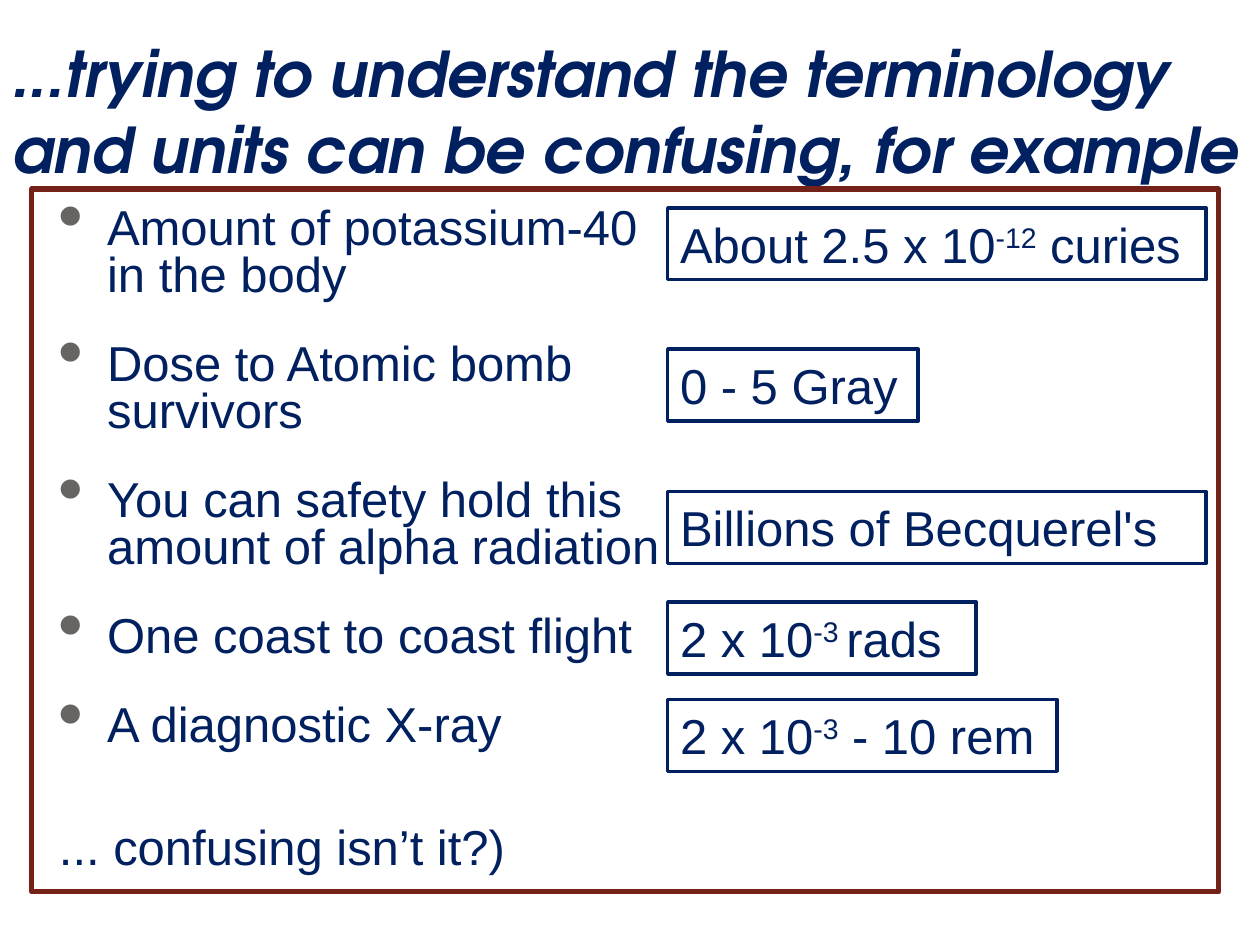
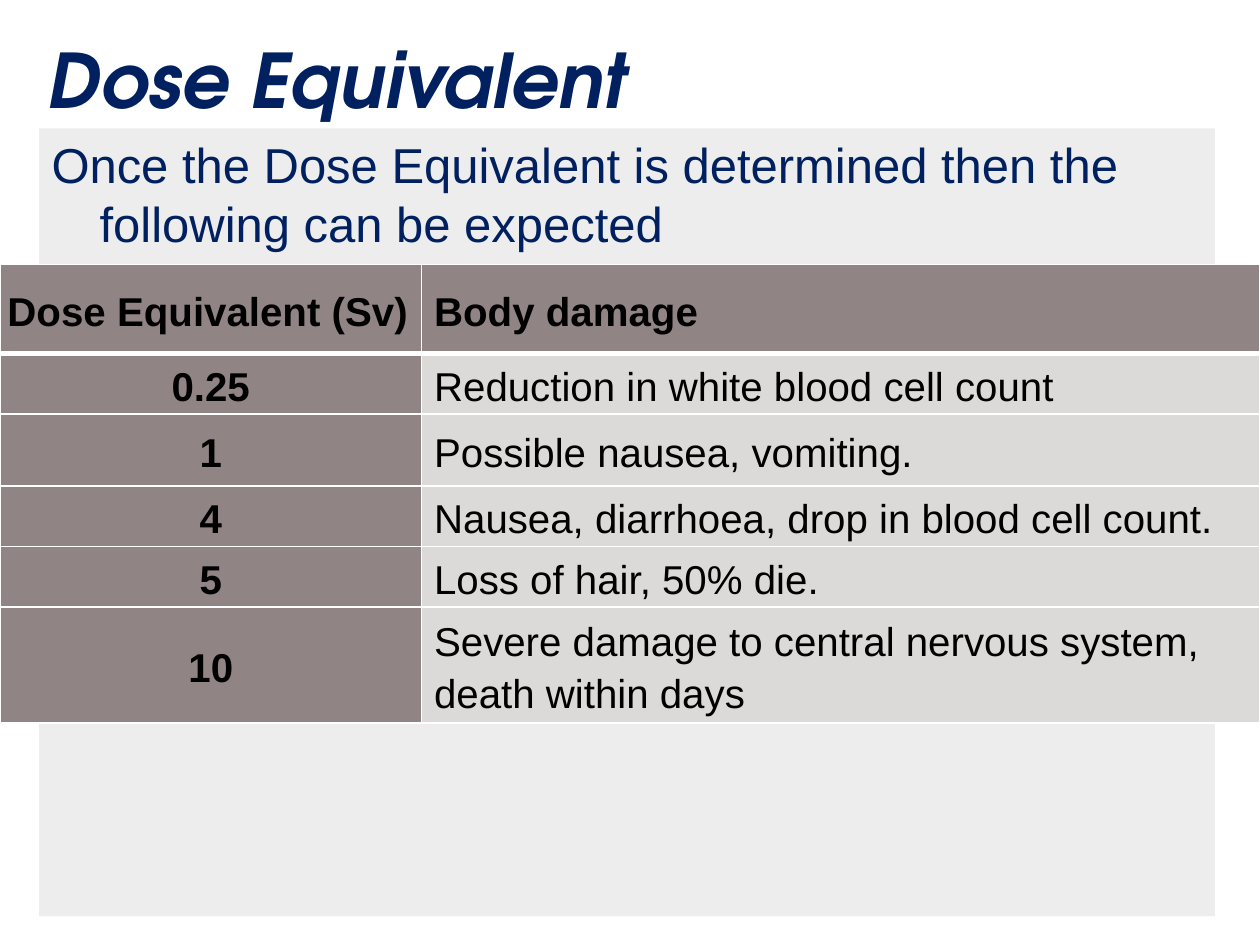
from pptx import Presentation
from pptx.dml.color import RGBColor
from pptx.enum.shapes import MSO_SHAPE
from pptx.enum.text import MSO_ANCHOR, PP_ALIGN
from pptx.oxml.ns import qn
from pptx.util import Cm, Pt
from lxml import etree

RECT = MSO_SHAPE.RECTANGLE
TOP, MIDDLE = MSO_ANCHOR.TOP, MSO_ANCHOR.MIDDLE
LEFT, CENTER = PP_ALIGN.LEFT, PP_ALIGN.CENTER

NAVY, BLACK, WHITE = "002060", "000000", "FFFFFF"
BULLET_GREY, FRAME_RED, PANEL_GREY = "696464", "742217", "D9D9D9"
HEAD_FILL, CELL_FILL = "918485", "DCD9D9"

TITLE_FONT = dict(name="TeX Gyre Adventor", bold=True, italic=True)
BODY_FONT = dict(name="Arial", size=Pt(28))
CELL_FONT = dict(name="Arial", size=Pt(23))
HANG = 0.97


def rgb(value):
    return RGBColor.from_string(value)


def sub(parent, tag, **attrs):
    """Append a DrawingML element with the given attributes."""
    return etree.SubElement(parent, qn("a:" + tag), {k: str(v) for k, v in attrs.items()})


def box(x, y, w, h):
    return Cm(x), Cm(y), Cm(w), Cm(h)


class Deck:
    """Holds the presentation, its style and the current slide."""

    def __init__(self):
        self.prs = Presentation()
        self.prs.slide_width, self.prs.slide_height = Cm(25.4), Cm(19.05)
        self.s = None

    def new_slide(self):
        self.s = self.prs.slides.add_slide(self.prs.slide_layouts[6])

    def add_runs(self, p, parts, font, color=NAVY):
        """Fill a paragraph; every second part is superscript."""
        for i, part in enumerate(parts):
            r = p.add_run()
            r.text = part
            for key, value in font.items():
                setattr(r.font, key, value)
            r.font.color.rgb = rgb(color)
            if i % 2:
                r._r.get_or_add_rPr().set("baseline", "30000")

    def indent(self, p, margin, first=0.0):
        pPr = p._p.get_or_add_pPr()
        pPr.set("marL", str(Cm(margin)))
        pPr.set("indent", str(Cm(first)))
        return pPr

    def text(self, place, text, font, anchor=TOP):
        tf = self.s.shapes.add_textbox(*box(*place)).text_frame
        tf.word_wrap = True
        tf.vertical_anchor = anchor
        self.add_runs(tf.paragraphs[0], [text], font)

    def title(self, place, text, size):
        self.text(place, text, dict(TITLE_FONT, size=Pt(size)), MIDDLE)

    def bullets(self, place, items):
        tf = self.s.shapes.add_textbox(*box(*place)).text_frame
        tf.word_wrap = True
        for i, item in enumerate(items):
            p = tf.add_paragraph() if i else tf.paragraphs[0]
            pPr = self.indent(p, HANG, -HANG)
            sub(sub(pPr, "buClr"), "srgbClr", val=BULLET_GREY)
            sub(pPr, "buSzPct", val=150000)
            sub(pPr, "buChar", char="•")
            p.line_spacing = 0.8
            if i:
                p.space_before = Pt(24)
            self.add_runs(p, [item], BODY_FONT)

    def rect(self, place, line=None, width=0, fill=None, alpha=100, parts=(), hang=0):
        sp = self.s.shapes.add_shape(RECT, *box(*place))
        sp.shadow.inherit = False
        if fill:
            sp.fill.solid()
            sp.fill.fore_color.rgb = rgb(fill)
            color = sp._element.spPr.find(qn("a:solidFill"))[0]
            sub(color, "alpha", val=alpha * 1000)
        else:
            sp.fill.background()
        if line:
            sp.line.color.rgb = rgb(line)
            sp.line.width = Pt(width)
        else:
            sp.line.fill.background()
        tf = sp.text_frame
        tf.word_wrap = True
        tf.vertical_anchor = TOP
        p = tf.paragraphs[0]
        p.alignment = LEFT
        self.indent(p, hang, -hang)
        self.add_runs(p, parts, BODY_FONT)

    def cell(self, cell, text, fill, bold, align, margin, first, bottom):
        cell.margin_left = cell.margin_right = Cm(0.15)
        cell.margin_top = cell.margin_bottom = Cm(0.05)
        cell.vertical_anchor = MIDDLE
        p = cell.text_frame.paragraphs[0]
        self.indent(p, margin, first)
        p.alignment = align
        p.line_spacing = 1.15
        self.add_runs(p, [text], dict(CELL_FONT, bold=bold), BLACK)
        # Borders come before the fill in the cell properties
        tcPr = cell._tc.get_or_add_tcPr()
        for side, width in (("L", 1), ("R", 1), ("T", 1), ("B", bottom)):
            ln = sub(tcPr, "ln" + side, w=Pt(width))
            sub(sub(ln, "solidFill"), "srgbClr", val=WHITE)
        cell.fill.solid()
        cell.fill.fore_color.rgb = rgb(fill)

    def table(self, x, y, widths, heights, rows):
        frame = self.s.shapes.add_table(
            len(rows), len(widths), *box(x, y, sum(widths), sum(heights)))
        tbl = frame.table
        tbl.horz_banding = False
        for col, width in zip(tbl.columns, widths):
            col.width = Cm(width)
        for i, (row, height) in enumerate(zip(rows, heights)):
            tbl.rows[i].height = Cm(height)
            for j, text in enumerate(row):
                head = i == 0
                strong = head or j == 0
                margin, first = 0, 0
                if j:
                    margin, first = (1.27, -1.17) if head else (0.1, 0)
                self.cell(tbl.cell(i, j), text,
                          HEAD_FILL if strong else CELL_FILL, strong,
                          LEFT if head or j else CENTER,
                          margin, first, 3 if head else 1)


def confusing_units(deck):
    deck.new_slide()
    deck.title((0, 0.64, 25.4, 3.18),
               "...trying to understand the terminology and units can be "
               "confusing, for example", 36)
    deck.bullets((0.94, 4.06, 12.78, 13.67), [
        "Amount of potassium-40 in the body",
        "Dose to Atomic bomb survivors",
        "You can safety hold this amount of alpha radiation",
        "One coast to coast flight",
        "A diagnostic X-ray",
    ])
    deck.text((0.94, 16.33, 13.77, 1.45), "... confusing isn’t it?)", BODY_FONT)
    # Boxed answers: top, width, text parts
    answers = [
        (4.19, 10.85, ["About 2.5 x 10", "-12", " curies"]),
        (7.04, 5.05, ["0 - 5 Gray"]),
        (9.91, 10.85, ["Billions of Becquerel's"]),
        (12.14, 6.22, ["2 x 10", "-3 ", "rads"]),
        (14.1, 7.85, ["2 x 10", "-3", " - 10 rem"]),
    ]
    for top, width, parts in answers:
        deck.rect((13.46, top, width, 1.45), NAVY, 2, parts=parts)
    # Frame around the content
    deck.rect((0.64, 3.81, 23.93, 14.17), FRAME_RED, 3)


def dose_equivalent(deck):
    deck.new_slide()
    deck.title((0.71, 0, 24.4, 3.18), "Dose Equivalent", 43)
    deck.rect((0.79, 2.59, 23.7, 15.88), fill=PANEL_GREY, alpha=47, hang=HANG,
              parts=["Once the Dose Equivalent is determined then the "
                     "following can be expected"])
    deck.table(0, 5.33, [8.5, 16.9], [1.8, 1.14, 1.45, 1.14, 1.14, 2.18], [
        ("Dose Equivalent (Sv)", "Body damage"),
        ("0.25", "Reduction in white blood cell count"),
        ("1", "Possible nausea, vomiting."),
        ("4", "Nausea, diarrhoea, drop in blood cell count."),
        ("5", "Loss of hair, 50% die."),
        ("10", "Severe damage to central nervous system, death within days"),
    ])


def main():
    deck = Deck()
    confusing_units(deck)
    dose_equivalent(deck)
    deck.prs.save("out.pptx")


if __name__ == "__main__":
    main()
